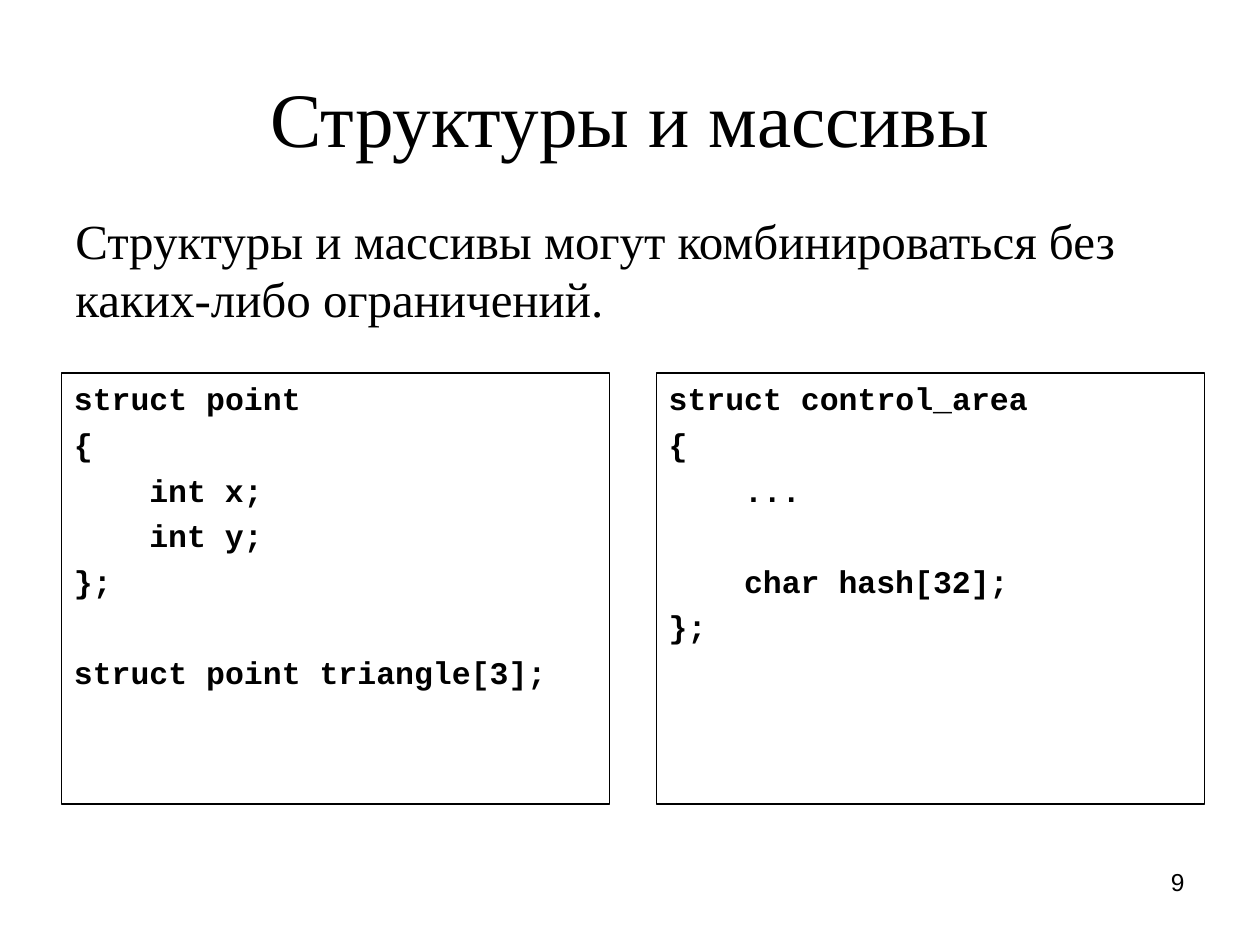
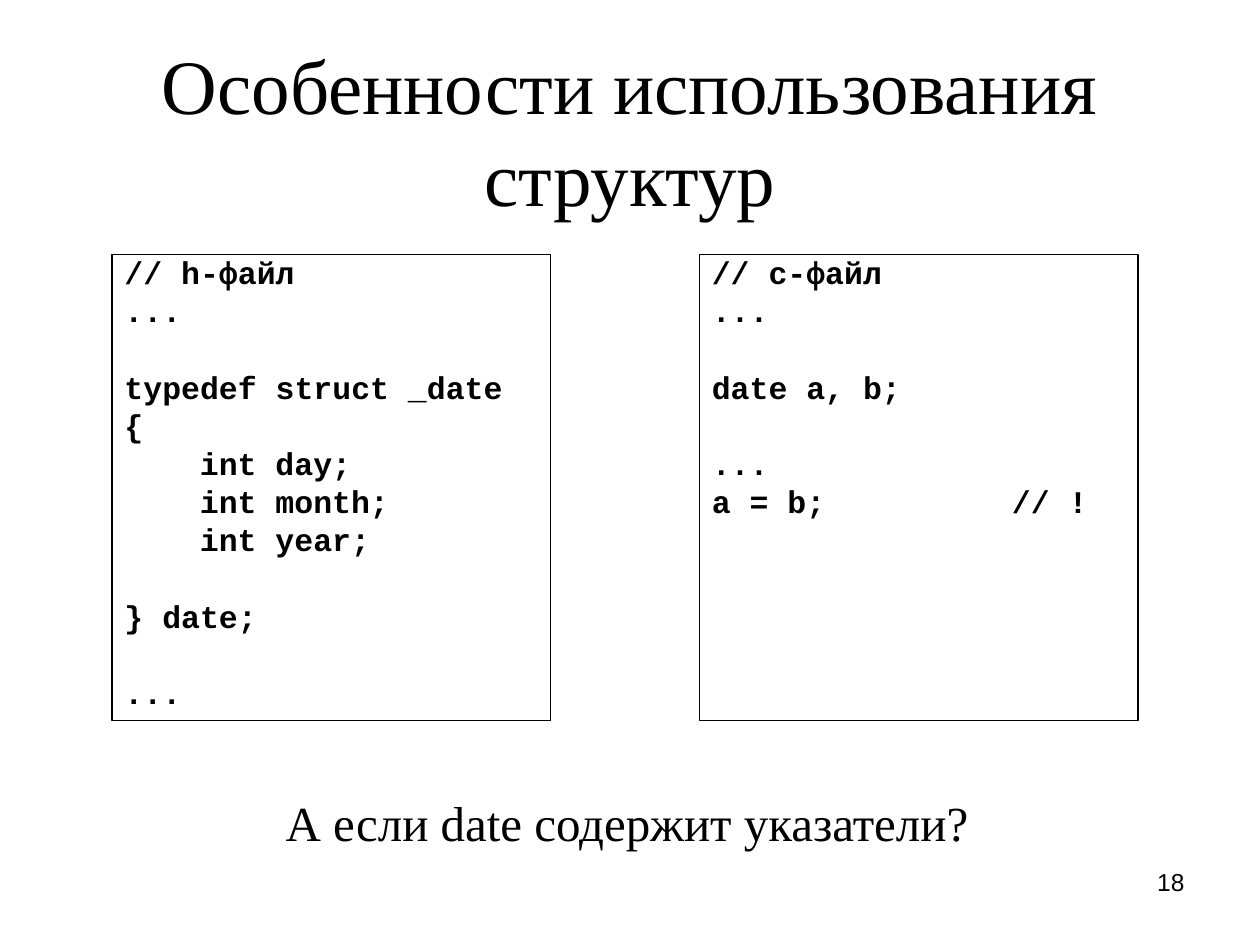
from lxml.etree import SubElement
from pptx import Presentation
from pptx.dml.color import RGBColor
from pptx.enum.shapes import MSO_SHAPE
from pptx.enum.text import MSO_ANCHOR, MSO_AUTO_SIZE, PP_ALIGN
from pptx.oxml.ns import qn
from pptx.util import Cm, Pt

INK = "000000"
SERIF, MONO, SANS = "Times New Roman", "Courier New", "Arial"
CODE_INDENT = Cm(1.52)  # four characters of 18 pt code
COMMENT_TAB = Cm(6.05)


def color(hex_code):
    return RGBColor.from_string(hex_code)


def write(box, text, font=SERIF, size=28, bold=False, align=PP_ALIGN.LEFT,
          anchor=MSO_ANCHOR.TOP, wrap=True, before=0, spacing=None, gap=0):
    """Fill box line by line; an empty line adds gap points before the next
    paragraph, and leading spaces become a paragraph indent."""
    frame = box.text_frame
    frame.word_wrap = wrap
    frame.auto_size = MSO_AUTO_SIZE.NONE if wrap else MSO_AUTO_SIZE.SHAPE_TO_FIT_TEXT
    frame.vertical_anchor = anchor
    para, extra = None, 0
    for line in text.splitlines():
        if not line:
            extra += gap
            continue
        para = frame.add_paragraph() if para else frame.paragraphs[0]
        para.alignment = align
        para.space_before = Pt(before + extra)
        extra = 0
        if spacing:
            para.line_spacing = spacing
        properties = para._p.get_or_add_pPr()
        if line.startswith(" "):
            properties.set("marL", str(CODE_INDENT))
        if "\t" in line:
            stops = SubElement(properties, qn("a:tabLst"))
            SubElement(stops, qn("a:tab"), pos=str(COMMENT_TAB), algn="l")
        span = para.add_run()
        span.text = line.strip()
        span.font.name = font
        span.font.size = Pt(size)
        span.font.bold = bold
        span.font.color.rgb = color(INK)


POINT_CODE = """struct point
{
    int x;
    int y;
};

struct point triangle[3];"""

CONTROL_AREA_CODE = """struct control_area
{
    ...

    char hash[32];
};"""

HEADER_CODE = """// h-файл
...

typedef struct _date
{
    int day;
    int month;
    int year;

} date;

..."""

SOURCE_CODE = """// c-файл
...

date a, b;

...
a = b;\t// !"""

slides = [
    dict(number=9, title="Структуры и массивы", title_area=(0.76, 3.18),
         note="Структуры и массивы могут комбинироваться без каких-либо ограничений.",
         note_area=(1.27, 4.11, 22.86, 2.87), note_format=dict(before=7),
         code=[POINT_CODE, CONTROL_AREA_CODE],
         code_area=(1.24, 7.52, 11.05, 8.69), code_step=11.99,
         code_format=dict(gap=26)),
    dict(number=18, title="Особенности использования структур", title_area=(0.71, 3.81),
         note="А если date содержит указатели?",
         note_area=(5.51, 15.85, 14.3, 1.45), note_format=dict(wrap=False),
         code=[HEADER_CODE, SOURCE_CODE],
         code_area=(2.26, 5.13, 8.84, 9.4), code_step=11.84,
         code_format=dict(gap=21.8, spacing=0.8)),
]

deck = Presentation()
deck.slide_width, deck.slide_height = Cm(25.4), Cm(19.05)

for content in slides:
    page = deck.slides.add_slide(deck.slide_layouts[6])

    top, height = content["title_area"]
    title = page.shapes.add_textbox(Cm(1.27), Cm(top), Cm(22.86), Cm(height))
    write(title, content["title"], size=44, align=PP_ALIGN.CENTER,
          anchor=MSO_ANCHOR.MIDDLE)

    note = page.shapes.add_textbox(*map(Cm, content["note_area"]))
    write(note, content["note"], **content["note_format"])

    left, top, width, height = content["code_area"]
    for column, code in enumerate(content["code"]):
        listing = page.shapes.add_shape(
            MSO_SHAPE.RECTANGLE, Cm(left + column * content["code_step"]),
            Cm(top), Cm(width), Cm(height))
        listing.shadow.inherit = False
        listing.fill.background()
        listing.line.color.rgb = color(INK)
        listing.line.width = Pt(0.75)
        write(listing, code, font=MONO, size=18, bold=True, before=4.5,
              **content["code_format"])

    number = page.shapes.add_textbox(Cm(18.21), Cm(17.35), Cm(5.92), Cm(1.32))
    write(number, str(content["number"]), font=SANS, size=14, align=PP_ALIGN.RIGHT)

deck.save("out.pptx")
